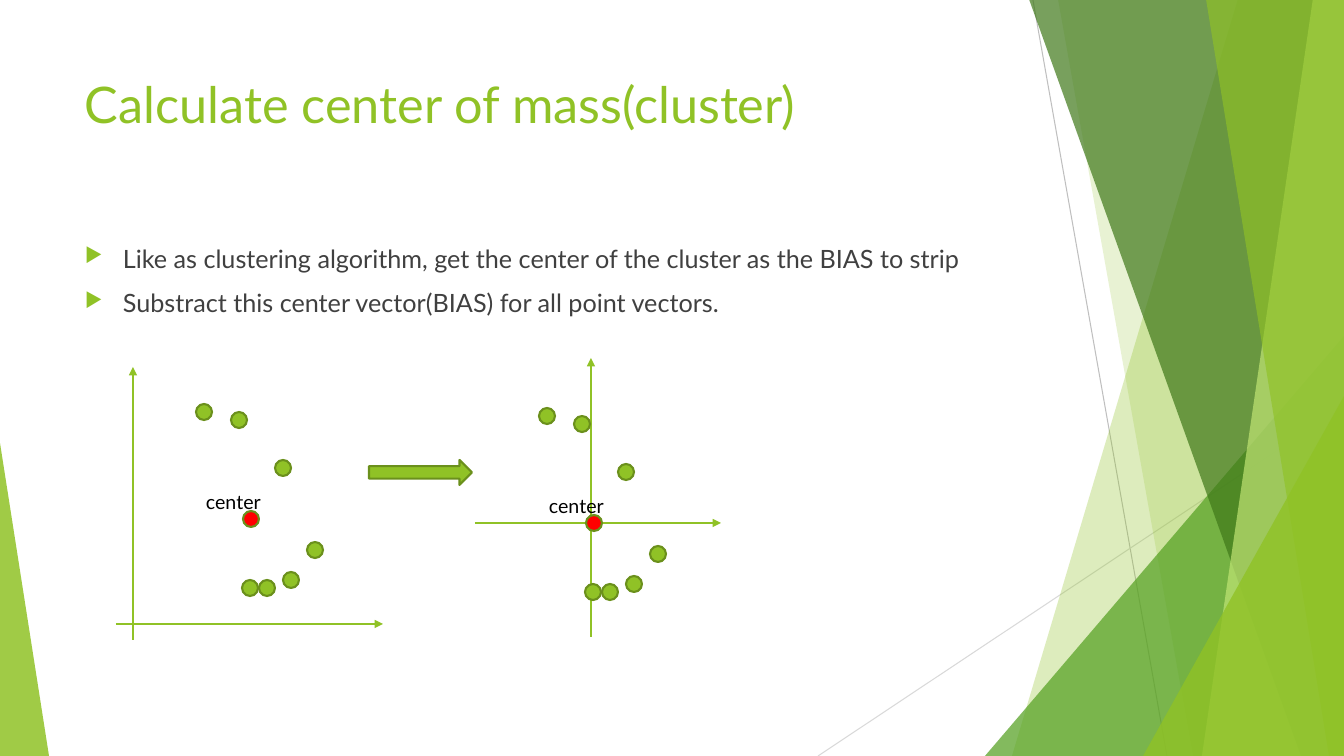
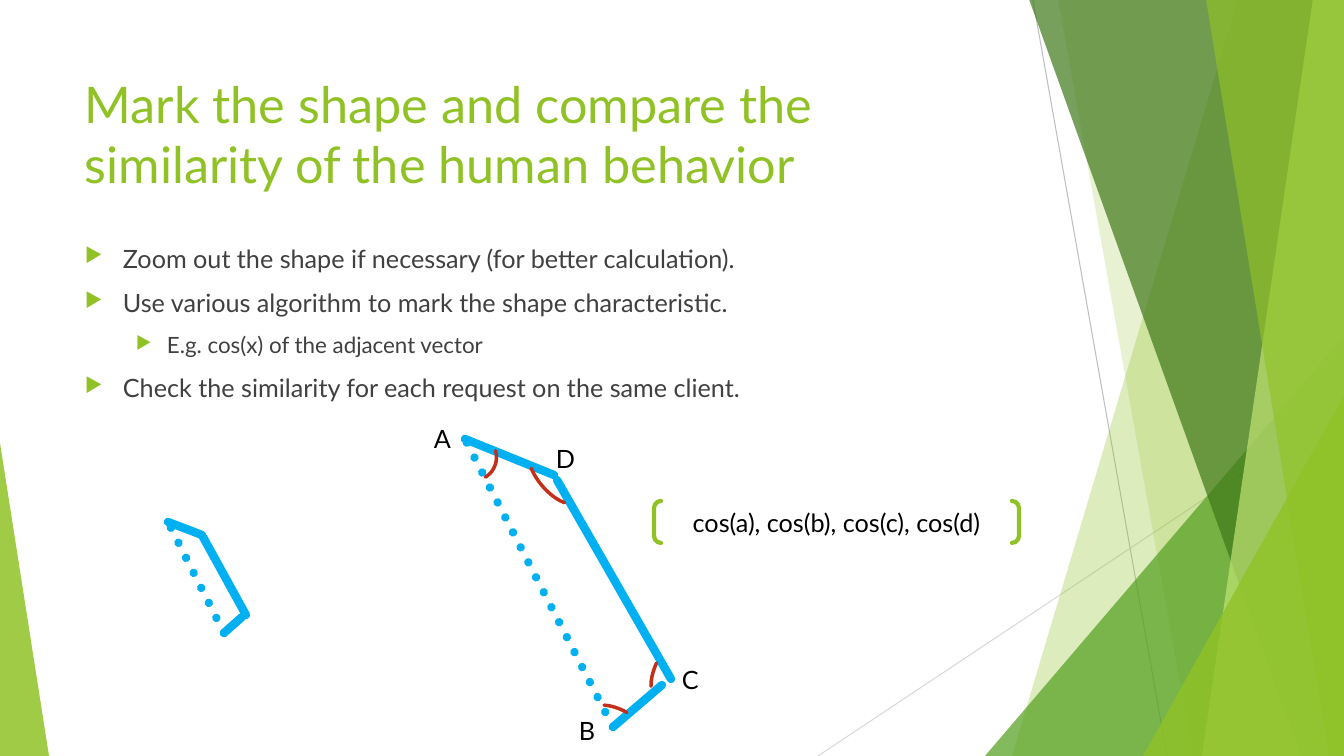
from dataclasses import dataclass

from lxml.etree import SubElement
from pptx import Presentation
from pptx.dml.color import RGBColor
from pptx.enum.dml import MSO_LINE
from pptx.enum.shapes import MSO_CONNECTOR, MSO_SHAPE
from pptx.enum.text import MSO_ANCHOR, MSO_AUTO_SIZE, PP_ALIGN
from pptx.oxml.ns import qn
from pptx.shapes.autoshape import Shape
from pptx.shapes.connector import Connector
from pptx.slide import Slide
from pptx.text.text import TextFrame
from pptx.util import Emu, Pt

SCALE = 914400 / 100.8
WIDTH, HEIGHT = 1344, 756
FONT = "Lato"
COLORS = {
    "lime": "90C226",
    "leaf": "54A021",
    "forest": "3F7819",
    "pale": "C0E474",
    "moss": "6B901C",
    "body": "404040",
    "black": "000000",
    "red": "FF0000",
    "sky": "00B0F0",
    "rust": "C42F1A",
    "gray": "BFBFBF",
    "silver": "D9D9D9",
}
INDENTS = [(38, 38), (82, 31)]
DOT = 16

Point = tuple[int, int]
Box = tuple[int, int, int, int]


@dataclass(frozen=True)
class Panel:
    top_x: int
    bottom_x: int
    color: str
    opacity: int


@dataclass(frozen=True)
class Wedge:
    box: Box
    apex: int
    color: str
    opacity: int


@dataclass(frozen=True)
class Stroke:
    start: Point
    end: Point
    color: str
    width: float
    arrow: bool = False
    dotted: bool = False
    rounded: bool = False


@dataclass(frozen=True)
class AngleMark:
    box: Box
    rotation: float
    start: float
    end: float


@dataclass(frozen=True)
class Bullet:
    text: str
    level: int = 0


FACETS = [
    Panel(1238, 1012, "lime", 30),
    Panel(1058, 1193, "lime", 20),
    Wedge((985, 336, 359, 420), 1, "leaf", 72),
    Panel(1029, 1301, "forest", 70),
    Panel(1313, 1202, "pale", 70),
    Panel(1206, 1329, "lime", 65),
    Wedge((1143, 396, 201, 360), 1, "lime", 80),
    Wedge((0, 443, 49, 313), 0, "lime", 85),
]
HAIRLINES = [
    Stroke((1033, 0), (1167, HEIGHT), "gray", 0.75),
    Stroke((WIDTH, 406), (818, HEIGHT), "silver", 0.75),
]
AXES = [
    Stroke((116, 624), (383, 624), "lime", 1, arrow=True),
    Stroke((133, 640), (133, 367), "lime", 1, arrow=True),
    Stroke((475, 523), (721, 523), "lime", 1, arrow=True),
    Stroke((591, 637), (591, 358), "lime", 1, arrow=True),
]
CLUSTER_POINTS = [
    (196, 404), (231, 412), (275, 460), (307, 542),
    (283, 572), (259, 580), (242, 580),
]
CLUSTER_CENTER = (243, 511)
CLUSTER_SHIFTS = [(0, 0), (343, 4)]
TRACES = [
    [((168, 522), (202, 535)), ((246, 615), (203, 537)),
     ((242, 617), (224, 633)), ((224, 633), (168, 522))],
    [((465, 439), (554, 475)), ((671, 679), (557, 480)),
     ((662, 685), (613, 727)), ((613, 727), (465, 439))],
]
ANGLE_MARKS = [
    AngleMark((450, 434, 47, 46), 85.8, 258.3, 333.6),
    AngleMark((584, 712, 74, 37), 32.9, 203.48, 255.03),
    AngleMark((638, 649, 74, 37), 298.4, 203.48, 255.03),
    AngleMark((519, 455, 74, 37), 230.1, 203.48, 321.8),
]
CORNERS = {"A": (424, 418), "B": (569, 710), "C": (672, 659), "D": (546, 438)}


def px(length: float) -> Emu:
    return Emu(round(length * SCALE))


def rgb(color: str) -> RGBColor:
    return RGBColor.from_string(COLORS[color])


def paint(shape: Shape, fill: str | None = None, opacity: int = 100,
          line: str | None = None, width: float = 1, rounded: bool = False) -> Shape:
    shape.shadow.inherit = False
    if fill:
        shape.fill.solid()
        shape.fill.fore_color.rgb = rgb(fill)
        if opacity < 100:
            tint = shape._element.spPr.find(qn("a:solidFill")).find(qn("a:srgbClr"))
            SubElement(tint, qn("a:alpha"), val=str(opacity * 1000))
    else:
        shape.fill.background()
    if line:
        shape.line.color.rgb = rgb(line)
        shape.line.width = Pt(width)
        if rounded:
            shape._element.spPr.find(qn("a:ln")).set("cap", "rnd")
    else:
        shape.line.fill.background()
    return shape


def add_preset(slide: Slide, preset: MSO_SHAPE, box: Box) -> Shape:
    return slide.shapes.add_shape(preset, *map(px, box))


def add_stroke(slide: Slide, stroke: Stroke) -> Connector:
    connector = slide.shapes.add_connector(
        MSO_CONNECTOR.STRAIGHT, *map(px, stroke.start + stroke.end))
    connector.line.color.rgb = rgb(stroke.color)
    connector.line.width = Pt(stroke.width)
    if stroke.dotted:
        connector.line.dash_style = MSO_LINE.ROUND_DOT
    properties = connector._element.spPr
    outline = properties.find(qn("a:ln"))
    if stroke.rounded:
        outline.set("cap", "rnd")
    if stroke.arrow:
        SubElement(outline, qn("a:tailEnd"), type="triangle")
    SubElement(properties, qn("a:effectLst"))
    return connector


def write(frame: TextFrame, text: str, *, size: float, color: str,
          align: PP_ALIGN = PP_ALIGN.LEFT, level: int | None = None,
          append: bool = False) -> None:
    paragraph = frame.add_paragraph() if append else frame.paragraphs[0]
    paragraph.alignment = align
    run = paragraph.add_run()
    run.text = text
    run.font.name = FONT
    run.font.size = Pt(size)
    run.font.color.rgb = rgb(color)
    if level is not None:
        paragraph.level = level
        paragraph.space_before = Pt(10)
        margin, hanging = INDENTS[level]
        properties = paragraph._p.get_or_add_pPr()
        properties.set("marL", str(px(margin)))
        properties.set("indent", str(-px(hanging)))
        bullet_color = SubElement(properties, qn("a:buClr"))
        SubElement(bullet_color, qn("a:srgbClr"), val=COLORS["lime"])
        SubElement(properties, qn("a:buSzPct"), val="80000")
        SubElement(properties, qn("a:buChar"), char="▶")


def add_frame(slide: Slide, box: Box, grow: bool = False) -> TextFrame:
    frame = slide.shapes.add_textbox(*map(px, box)).text_frame
    frame.word_wrap = True
    frame.auto_size = MSO_AUTO_SIZE.SHAPE_TO_FIT_TEXT if grow else MSO_AUTO_SIZE.NONE
    return frame


def draw_facet(slide: Slide, facet: Panel | Wedge) -> None:
    if isinstance(facet, Wedge):
        shape = add_preset(slide, MSO_SHAPE.ISOSCELES_TRIANGLE, facet.box)
        shape.adjustments[0] = facet.apex
    else:
        outline = slide.shapes.build_freeform(facet.top_x, -1, scale=SCALE)
        outline.add_line_segments(
            [(WIDTH, -1), (WIDTH, HEIGHT), (facet.bottom_x, HEIGHT)], close=True)
        shape = outline.convert_to_shape()
    paint(shape, facet.color, facet.opacity)


def add_content_slide(deck: Presentation, title: str, bullets: list[Bullet],
                      body_height: int) -> Slide:
    slide = deck.slides.add_slide(deck.slide_layouts[6])
    for hairline in HAIRLINES:
        add_stroke(slide, hairline)
    for facet in FACETS:
        draw_facet(slide, facet)
    write(add_frame(slide, (75, 68, 948, 145)), title, size=36, color="lime")
    body = add_frame(slide, (75, 238, 948, body_height))
    for index, bullet in enumerate(bullets):
        write(body, bullet.text, size=18 - 2 * bullet.level, color="body",
              level=bullet.level, append=index > 0)
    return slide


def draw_cluster(slide: Slide, shift: Point) -> None:
    dx, dy = shift
    dots = [(point, "lime") for point in CLUSTER_POINTS] + [(CLUSTER_CENTER, "red")]
    for (x, y), color in dots:
        dot = add_preset(slide, MSO_SHAPE.OVAL, (x + dx, y + dy, DOT, DOT))
        paint(dot, color, line="moss", width=1.5)
    caption = add_frame(slide, (196 + dx, 485 + dy, 81, 34), grow=True)
    write(caption, "center", size=14, color="black")


def draw_angle_mark(slide: Slide, mark: AngleMark) -> None:
    arc = add_preset(slide, MSO_SHAPE.ARC, mark.box)
    arc.adjustments[0] = mark.start * 0.6
    arc.adjustments[1] = mark.end * 0.6
    arc.rotation = mark.rotation
    paint(arc, line="rust", width=2.5, rounded=True)


def build_center_slide(deck: Presentation) -> None:
    slide = add_content_slide(deck, "Calculate center of mass(cluster)", [
        Bullet("Like as clustering algorithm, get the center of the cluster as the BIAS to strip"),
        Bullet("Substract this center vector(BIAS) for all point vectors."),
    ], 92)
    for axis in AXES:
        add_stroke(slide, axis)
    for shift in CLUSTER_SHIFTS:
        draw_cluster(slide, shift)
    transition = add_preset(slide, MSO_SHAPE.RIGHT_ARROW, (369, 460, 103, 25))
    paint(transition, "lime", line="moss", width=1.5)


def build_similarity_slide(deck: Presentation) -> None:
    title = "Mark the shape and compare the similarity of the human behavior"
    slide = add_content_slide(deck, title, [
        Bullet("Zoom out the shape if necessary (for better calculation)."),
        Bullet("Use various algorithm to mark the shape characteristic."),
        Bullet("E.g. cos(x) of the adjacent vector", 1),
        Bullet("Check the similarity for each request on the same client."),
    ], 176)
    for trace in TRACES:
        for start, end in trace:
            add_stroke(slide, Stroke(start, end, "sky", 6, rounded=True,
                                     dotted=(start, end) == trace[-1]))
    for mark in ANGLE_MARKS:
        draw_angle_mark(slide, mark)
    for corner, place in CORNERS.items():
        write(add_frame(slide, (*place, 44, 40), grow=True), corner, size=18, color="black")
    cosines = add_preset(slide, MSO_SHAPE.DOUBLE_BRACKET, (654, 501, 365, 42))
    paint(cosines, line="lime", width=3, rounded=True)
    cosines.text_frame.word_wrap = True
    cosines.text_frame.vertical_anchor = MSO_ANCHOR.MIDDLE
    write(cosines.text_frame, "cos(a), cos(b), cos(c), cos(d)", size=18,
          color="black", align=PP_ALIGN.CENTER)


deck = Presentation()
deck.slide_width, deck.slide_height = px(WIDTH), px(HEIGHT)
build_center_slide(deck)
build_similarity_slide(deck)
deck.save("out.pptx")
